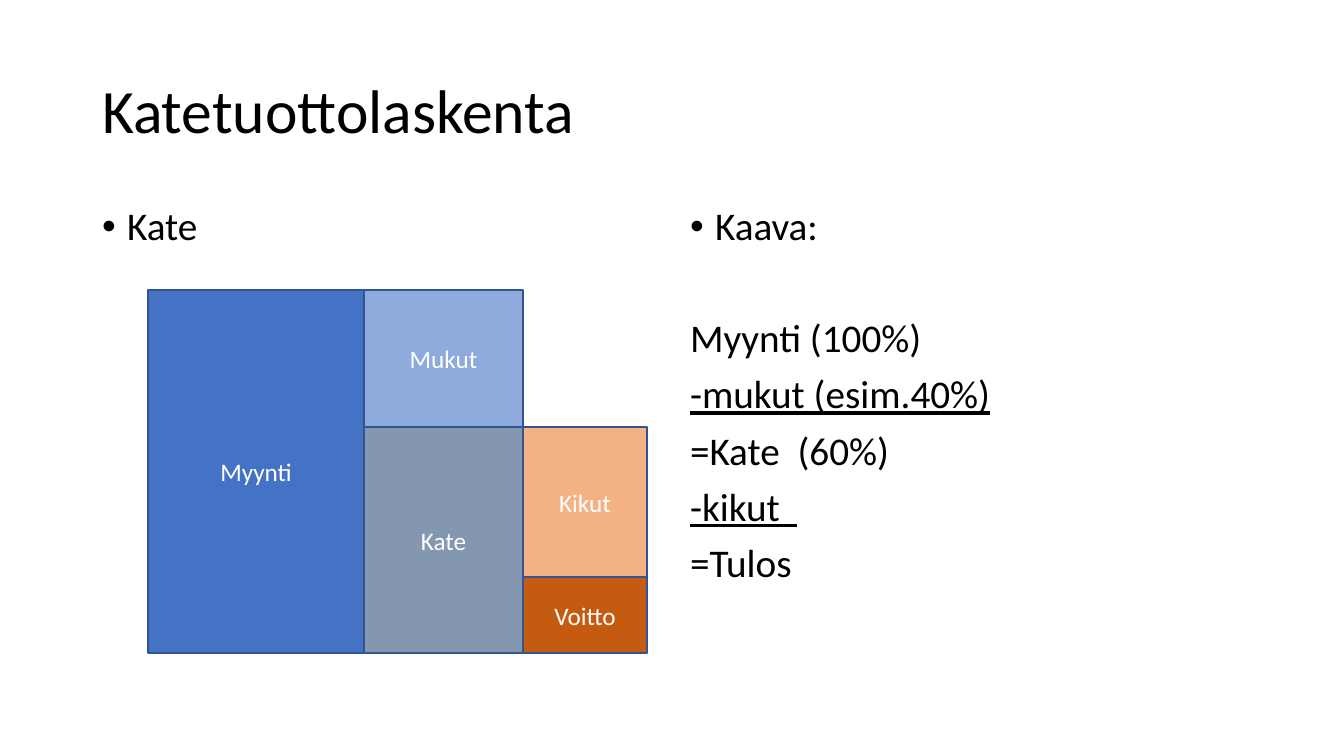
from lxml.etree import SubElement
from pptx import Presentation
from pptx.dml.color import RGBColor
from pptx.enum.shapes import MSO_SHAPE
from pptx.enum.text import MSO_ANCHOR, MSO_AUTO_SIZE, PP_ALIGN
from pptx.oxml.ns import qn
from pptx.util import Pt

EMU_PER_PIXEL = 914400 / 100.8
SLIDE_SIZE = (1344, 756)
FONT = "Calibri"
BLACK, WHITE, OUTLINE = "000000", "FFFFFF", "325491"

TITLE = "Katetuottolaskenta"
TITLE_BOX = (92, 41, 1159, 146)
BODY_TOP, BODY_WIDTH, BODY_HEIGHT = 202, 572, 480
BULLET_INDENT = 25

# Each line: text, bulleted, underlined, space before in points
BODIES = [
    (92, [("Kate", True, False, 10)]),
    (680, [
        ("Kaava:", True, False, 10),
        ("Myynti (100%)", False, False, 49.5),
        ("-mukut (esim.40%)", False, True, 10),
        ("=Kate  (60%)", False, False, 10),
        ("-kikut  ", False, True, 10),
        ("=Tulos", False, False, 10),
    ]),
]

# Grid edges shared by the margin blocks
COLUMN_EDGES = (148, 364, 523, 647)
ROW_EDGES = (290, 427, 577, 653)
# Each block: text, column, first row, row after the last, fill
BLOCKS = [
    ("Myynti", 0, 0, 3, "4472C4"),
    ("Mukut", 1, 0, 1, "8FAADC"),
    ("Kate", 1, 1, 3, "8497B0"),
    ("Kikut", 2, 1, 2, "F4B183"),
    ("Voitto", 2, 2, 3, "C55A11"),
]


def pixels(value):
    """Turn pixels into whole EMU."""
    return round(value * EMU_PER_PIXEL)


def color(hex_string):
    """Turn a hex string into a colour."""
    return RGBColor.from_string(hex_string)


def place(shape, box):
    """Move and size a shape to a pixel box."""
    shape.left, shape.top, shape.width, shape.height = map(pixels, box)


def format_runs(paragraph, size, hex_string, underline=False):
    """Give every run of a paragraph its font."""
    for run in paragraph.runs:
        run.font.name = FONT
        run.font.size = Pt(size)
        run.font.color.rgb = color(hex_string)
        run.font.underline = underline


def set_bullet(paragraph, bulleted):
    """Switch the bullet and its hanging indent on or off."""
    properties = paragraph._p.get_or_add_pPr()
    indent = pixels(BULLET_INDENT) if bulleted else 0
    properties.set("marL", str(indent))
    properties.set("indent", str(-indent))
    if bulleted:
        SubElement(properties, qn("a:buFont"), typeface="Arial")
        SubElement(properties, qn("a:buChar"), char="•")
    else:
        SubElement(properties, qn("a:buNone"))


def fill_title(shape):
    """Write the slide title."""
    place(shape, TITLE_BOX)
    frame = shape.text_frame
    frame.text = TITLE
    frame.auto_size = MSO_AUTO_SIZE.NONE
    frame.vertical_anchor = MSO_ANCHOR.MIDDLE
    paragraph = frame.paragraphs[0]
    paragraph.alignment = PP_ALIGN.LEFT
    paragraph.line_spacing = 0.9
    format_runs(paragraph, 44, BLACK)


def fill_body(shape, left, lines):
    """Write one column of text lines."""
    place(shape, (left, BODY_TOP, BODY_WIDTH, BODY_HEIGHT))
    frame = shape.text_frame
    frame.text = "\n".join(line[0] for line in lines)
    frame.auto_size = MSO_AUTO_SIZE.NONE
    for paragraph, (_, bulleted, underlined, space) in zip(frame.paragraphs, lines):
        paragraph.line_spacing = 0.9
        paragraph.space_before = Pt(space)
        set_bullet(paragraph, bulleted)
        format_runs(paragraph, 28, BLACK, underlined)


def add_block(slide, text, column, first_row, end_row, fill):
    """Add one labelled rectangle on the grid."""
    left, right = COLUMN_EDGES[column:column + 2]
    top, bottom = ROW_EDGES[first_row], ROW_EDGES[end_row]
    box = map(pixels, (left, top, right - left, bottom - top))
    shape = slide.shapes.add_shape(MSO_SHAPE.RECTANGLE, *box)
    shape.shadow.inherit = False
    shape.fill.solid()
    shape.fill.fore_color.rgb = color(fill)
    shape.line.color.rgb = color(OUTLINE)
    shape.line.width = Pt(1)
    frame = shape.text_frame
    frame.text = text
    frame.vertical_anchor = MSO_ANCHOR.MIDDLE
    paragraph = frame.paragraphs[0]
    paragraph.alignment = PP_ALIGN.CENTER
    format_runs(paragraph, 18, WHITE)


presentation = Presentation()
presentation.slide_width, presentation.slide_height = map(pixels, SLIDE_SIZE)
slide = presentation.slides.add_slide(presentation.slide_layouts.get_by_name("Two Content"))
fill_title(slide.shapes.title)
for index, (left, lines) in enumerate(BODIES, start=1):
    fill_body(slide.placeholders[index], left, lines)
for block in BLOCKS:
    add_block(slide, *block)
presentation.save("out.pptx")
